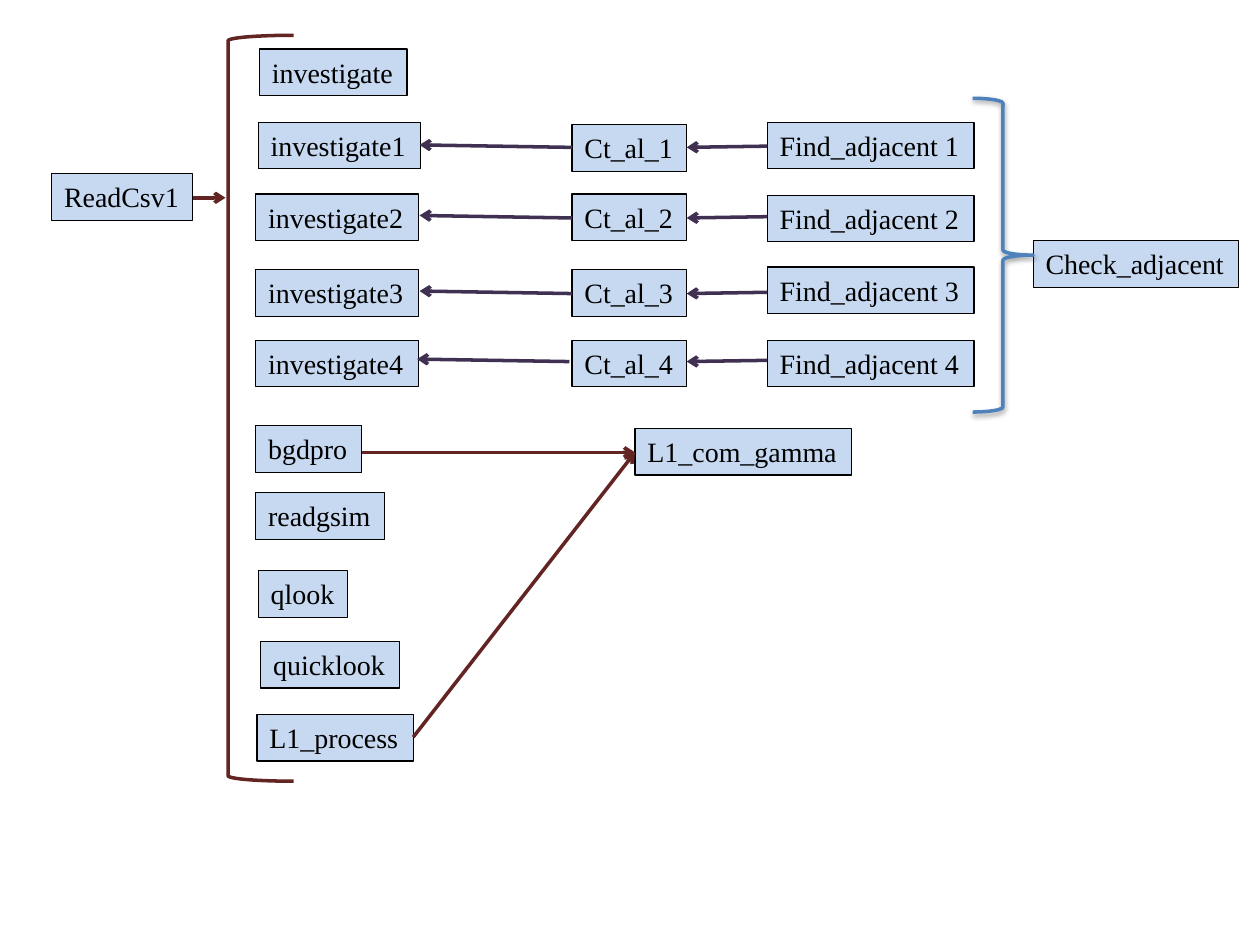
from lxml.etree import SubElement
from pptx import Presentation
from pptx.dml.color import RGBColor
from pptx.enum.shapes import MSO_CONNECTOR as Connector, MSO_SHAPE as Preset
from pptx.enum.text import MSO_ANCHOR as Anchor, MSO_AUTO_SIZE as AutoSize, PP_ALIGN as Align
from pptx.oxml.ns import qn
from pptx.util import Inches, Pt

COLUMNS, ROWS = 100, 75
MAROON, PURPLE, BLUE = "632523", "403152", "4F81BD"


def color(value):
    return RGBColor.from_string(value)


def write(box, text, font="Times New Roman", size=16, ink="000000", align=Align.LEFT):
    frame = box.text_frame
    frame.word_wrap = False
    frame.auto_size = AutoSize.SHAPE_TO_FIT_TEXT
    frame.vertical_anchor = Anchor.TOP
    para = frame.paragraphs[0]
    para.alignment = align
    span = para.add_run()
    span.text = text
    span.font.name = font
    span.font.size = Pt(size)
    span.font.color.rgb = color(ink)


class Diagram:
    fill, border, border_width, stroke = "C6D9F1", "000000", 0.75, 2
    box_height = 3.7

    def __init__(self, deck):
        self.column = deck.slide_width / COLUMNS
        self.row = deck.slide_height / ROWS
        self.page = deck.slides.add_slide(deck.slide_layouts[6])

    def place(self, x, y):
        return round(x * self.column), round(y * self.row)

    def outline(self, item, ink, width):
        item.line.color.rgb = color(ink)
        item.line.width = Pt(width)

    def label(self, text, left, top, width):
        box = self.page.shapes.add_textbox(*self.place(left, top), *self.place(width, self.box_height))
        box.fill.solid()
        box.fill.fore_color.rgb = color(self.fill)
        self.outline(box, self.border, self.border_width)
        write(box, text)

    def arrow(self, start, end, ink):
        line = self.page.shapes.add_connector(Connector.STRAIGHT, *self.place(*start), *self.place(*end))
        self.outline(line, ink, self.stroke)
        SubElement(line.line._get_or_add_ln(), qn("a:tailEnd"), type="arrow")
        SubElement(line._element.spPr, qn("a:effectLst"))

    def bracket(self, preset, left, top, width, height, ink, shadow=False):
        shape = self.page.shapes.add_shape(preset, *self.place(left, top), *self.place(width, height))
        shape.fill.background()
        self.outline(shape, ink, self.stroke)
        shape.shadow.inherit = False
        if shadow:
            effects = shape._element.spPr.find(qn("a:effectLst"))
            cast = SubElement(effects, qn("a:outerShdw"), blurRad=str(Pt(3.1)), dist=str(Pt(1.6)),
                              dir="5400000", rotWithShape="0")
            tone = SubElement(cast, qn("a:srgbClr"), val="000000")
            SubElement(tone, qn("a:alpha"), val="38000")


deck = Presentation()
deck.slide_width, deck.slide_height = Inches(10), Inches(7.5)
diagram = Diagram(deck)

for name, left, top, width in [
    ("ReadCsv1", 4.1, 13.8, 11.2),
    ("investigate", 20.6, 3.9, 11.7),
    ("bgdpro", 20.3, 33.8, 8.4),
    ("readgsim", 20.3, 39.1, 10.2),
    ("qlook", 20.5, 45.3, 7.1),
    ("quicklook", 20.7, 50.9, 11),
    ("L1_process", 20.4, 56.7, 12.4),
    ("L1_com_gamma", 50.4, 34, 17.2),
    ("Check_adjacent", 82, 19.1, 16.3),
]:
    diagram.label(name, left, top, width)

chains = [
    (20.5, 9.7, 9.9, 9.7, 11.6),
    (20.3, 15.4, 15.4, 15.5, 17.2),
    (20.3, 21.4, 21.4, 21.2, 23.2),
    (20.3, 27, 27, 27, 28.6),
]
for number, (left, investigate_top, count_top, find_top, arrow_y) in enumerate(chains, 1):
    diagram.label(f"investigate{number}", left, investigate_top, 12.9)
    diagram.label(f"Ct_al_{number}", 45.4, count_top, 9.1)
    diagram.label(f"Find_adjacent {number}", 60.9, find_top, 16.4)
    shift = 0.2 if number == len(chains) else 0
    diagram.arrow((45.4 - shift, arrow_y + 0.1), (33.3 - shift, arrow_y - 0.1), PURPLE)
    diagram.arrow((60.9, arrow_y), (54.5, arrow_y + 0.1), PURPLE)

gamma_entry = (50.4, 35.9)
diagram.arrow((15.3, 15.7), (17.9, 15.7), MAROON)
diagram.arrow((28.7, 35.9), gamma_entry, MAROON)
diagram.arrow((32.8, 58.5), gamma_entry, MAROON)

diagram.bracket(Preset.LEFT_BRACKET, 18.1, 2.8, 5.2, 59.2, MAROON)
diagram.bracket(Preset.RIGHT_BRACE, 77.2, 7.8, 4.8, 24.9, BLUE, shadow=True)

deck.save("out.pptx")
